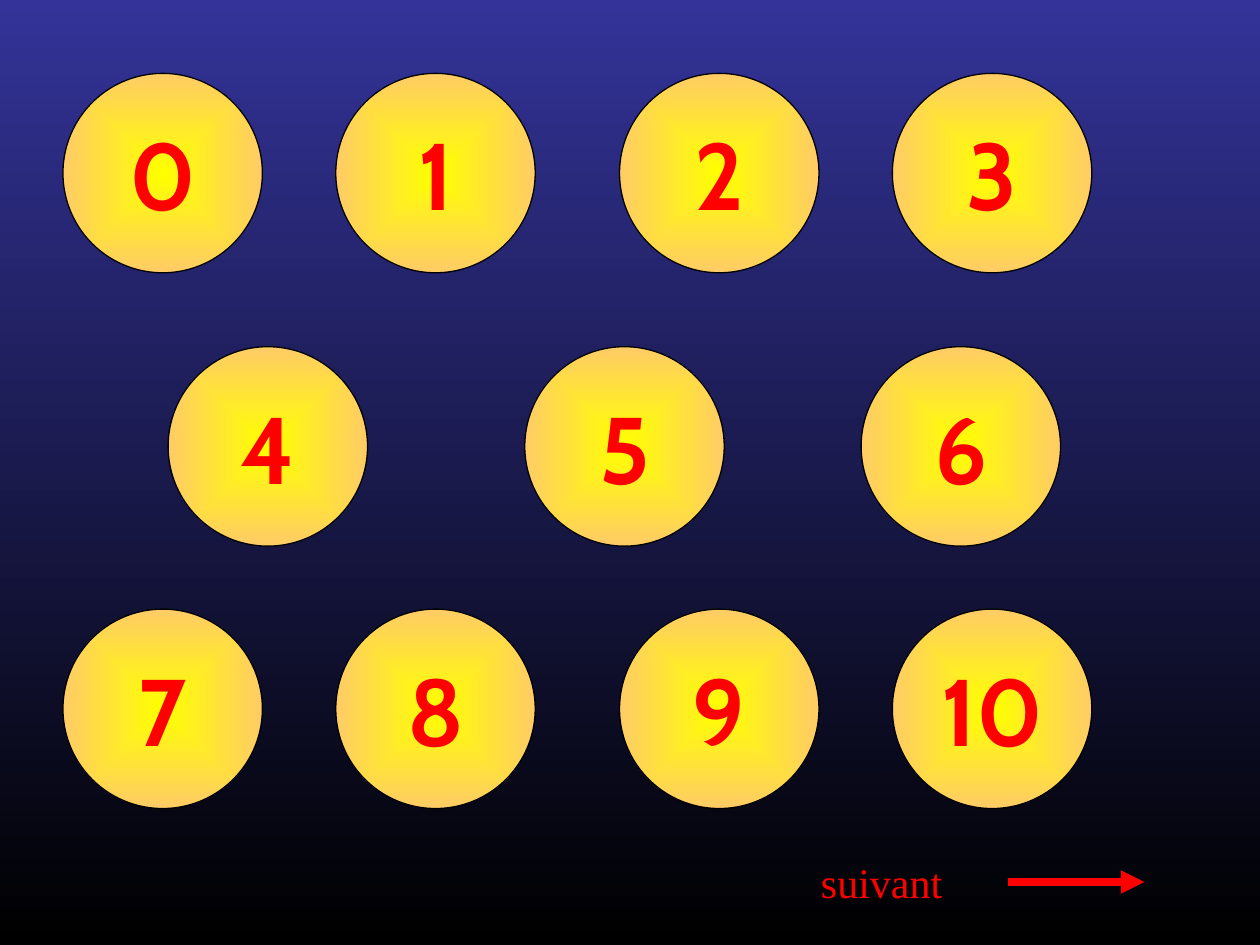
from lxml import etree
from pptx import Presentation
from pptx.dml.color import RGBColor
from pptx.enum.shapes import MSO_CONNECTOR, MSO_SHAPE
from pptx.enum.text import MSO_ANCHOR, MSO_AUTO_SIZE, PP_ALIGN
from pptx.oxml.ns import qn
from pptx.util import Cm, Pt

OVAL = MSO_SHAPE.OVAL
STRAIGHT = MSO_CONNECTOR.STRAIGHT
MIDDLE = MSO_ANCHOR.MIDDLE
FIT_SHAPE = MSO_AUTO_SIZE.SHAPE_TO_FIT_TEXT
CENTER = PP_ALIGN.CENTER

COLORS = {
    "sky": "333399",
    "black": "000000",
    "yellow": "FFFF00",
    "orange": "FFCC66",
    "red": "FF0000",
}
DIAMETER = 4.02
FOUR_COLUMNS = [1.27, 6.77, 12.49, 17.99]
THREE_COLUMNS = [3.39, 10.58, 17.36]
# Top of each row and the left edges of its circles, in cm
ROWS = [(1.48, FOUR_COLUMNS), (6.99, THREE_COLUMNS), (12.28, FOUR_COLUMNS)]


def color(name):
    return RGBColor.from_string(COLORS[name])


def set_gradient(fill, first, last):
    fill.gradient()
    for stop, name in zip(fill.gradient_stops, (first, last)):
        stop.color.rgb = color(name)


def radiate_from_center(shape):
    """Turn the linear gradient of a shape into a rectangular one."""
    linear = shape.element.spPr.find(f"{qn('a:gradFill')}/{qn('a:lin')}")
    center_path = etree.Element(qn("a:path"), path="rect")
    etree.SubElement(center_path, qn("a:fillToRect"),
                     l="50000", t="50000", r="50000", b="50000")
    linear.getparent().replace(linear, center_path)


def format_run(paragraph, font_name, size, bold=False):
    font = paragraph.runs[0].font
    font.name = font_name
    font.size = Pt(size)
    font.bold = bold
    font.color.rgb = color("red")


def add_number_circle(slide, number, left, top):
    circle = slide.shapes.add_shape(
        OVAL, Cm(left), Cm(top), Cm(DIAMETER), Cm(DIAMETER))
    circle.shadow.inherit = False
    set_gradient(circle.fill, "yellow", "orange")
    radiate_from_center(circle)
    circle.line.color.rgb = color("black")
    circle.line.width = Pt(0.75)
    text_frame = circle.text_frame
    text_frame.text = str(number)
    text_frame.word_wrap = False
    text_frame.vertical_anchor = MIDDLE
    paragraph = text_frame.paragraphs[0]
    paragraph.alignment = CENTER
    format_run(paragraph, "Cabin", 54, bold=True)


def add_label(slide, text, left, top, width, height):
    label = slide.shapes.add_textbox(Cm(left), Cm(top), Cm(width), Cm(height))
    text_frame = label.text_frame
    text_frame.text = text
    text_frame.word_wrap = True
    text_frame.auto_size = FIT_SHAPE
    paragraph = text_frame.paragraphs[0]
    paragraph.space_before = Pt(15)
    format_run(paragraph, "Times New Roman", 24)


def add_arrow(slide, start, end, height):
    arrow = slide.shapes.add_connector(
        STRAIGHT, Cm(start), Cm(height), Cm(end), Cm(height))
    arrow.line.color.rgb = color("red")
    arrow.line.width = Pt(4.5)
    etree.SubElement(arrow.line._get_or_add_ln(), qn("a:tailEnd"),
                     type="triangle")
    etree.SubElement(arrow.element.spPr, qn("a:effectLst"))


def main():
    presentation = Presentation()
    presentation.slide_width = Cm(25.4)
    presentation.slide_height = Cm(19.05)
    slide = presentation.slides.add_slide(presentation.slide_layouts[6])

    # Background, darkening from top to bottom
    background = slide.background.fill
    set_gradient(background, "sky", "black")
    background.gradient_angle = 270

    # Numbers 0 to 10
    places = [(left, top) for top, columns in ROWS for left in columns]
    for number, (left, top) in enumerate(places):
        add_number_circle(slide, number, left, top)

    # Pointer to the next slide
    add_label(slide, "suivant", 16.3, 17.15, 7.2, 1.27)
    add_arrow(slide, 20.32, 23.07, 17.78)

    presentation.save("out.pptx")


if __name__ == "__main__":
    main()
